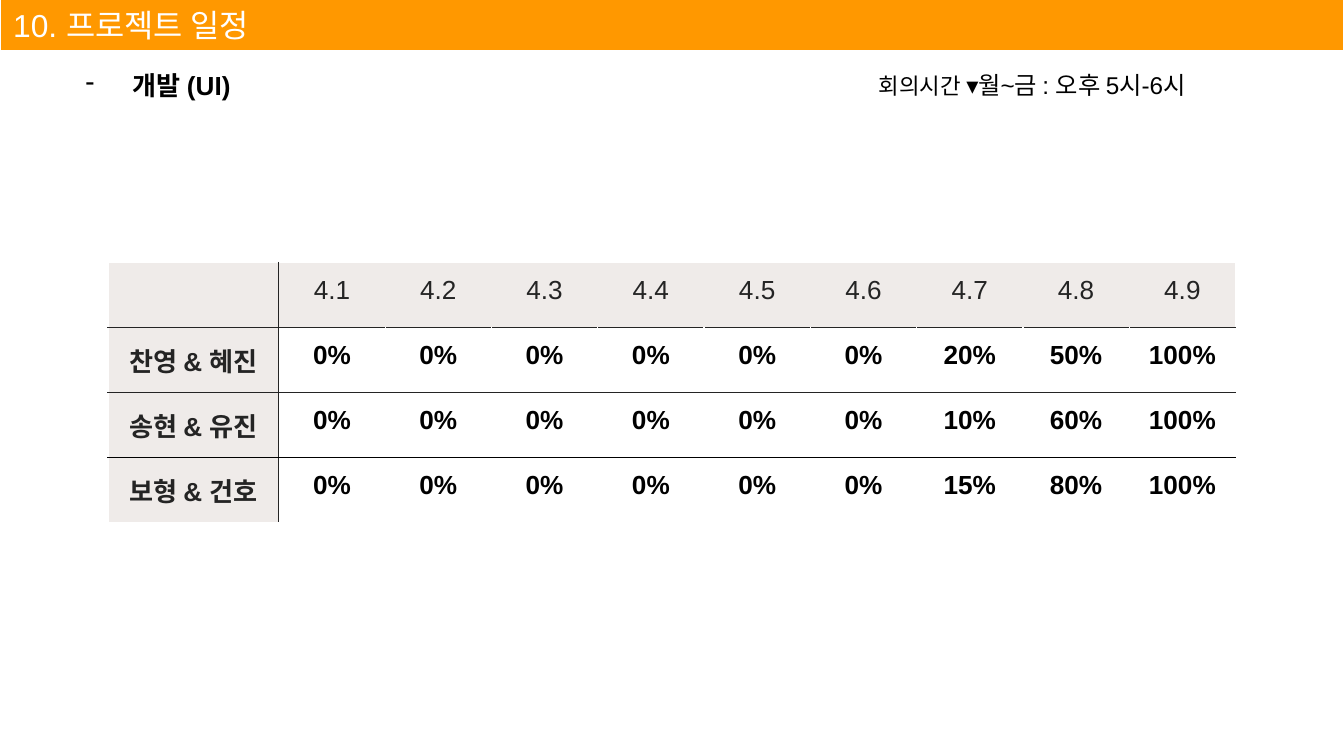
from lxml.etree import SubElement
from pptx import Presentation
from pptx.dml.color import RGBColor
from pptx.enum.shapes import MSO_SHAPE
from pptx.enum.text import MSO_ANCHOR, PP_ALIGN
from pptx.oxml.ns import qn
from pptx.util import Cm, Pt

COLORS = {"orange": "FF9800", "white": "FFFFFF", "black": "000000",
          "dark": "242424", "beige": "EFEBE9"}

TITLE = "10. 프로젝트 일정"
SECTION = "개발 (UI)"
MEETING = [("회의시간 ", 12), ("▾월~금 : 오후 5시-6시", 13)]
DATES = ["4.1", "4.2", "4.3", "4.4", "4.5", "4.6", "4.7", "4.8", "4.9"]
PROGRESS = {
    "찬영 & 혜진": [0, 0, 0, 0, 0, 0, 20, 50, 100],
    "송현 & 유진": [0, 0, 0, 0, 0, 0, 10, 60, 100],
    "보형 & 건호": [0, 0, 0, 0, 0, 0, 15, 80, 100],
}
ROW_LINES = ["white", "dark", "dark", "black", "white"]
NAME_WIDTH, DATE_WIDTH, ROW_HEIGHT = 3.23, 2.01, 1.23
PADDING = 0.25


def color(name):
    return RGBColor.from_string(COLORS[name])


def pad(target):
    """Give a text frame or a table cell the same margin on all sides."""
    for side in ("left", "right", "top", "bottom"):
        setattr(target, f"margin_{side}", Cm(PADDING))


def add_span(para, text, size, color_name="black", bold=False):
    span = para.add_run()
    span.text = text
    for key, value in {"name": "Arial", "size": Pt(size), "bold": bold}.items():
        setattr(span.font, key, value)
    span.font.color.rgb = color(color_name)


def add_text_box(page, left, top, width, height):
    frame = page.shapes.add_textbox(Cm(left), Cm(top), Cm(width), Cm(height)).text_frame
    frame.word_wrap = True
    pad(frame)
    return frame.paragraphs[0]


def add_dash(para):
    properties = para._p.get_or_add_pPr()
    properties.set("marL", str(Cm(1.27)))
    properties.set("indent", str(Cm(-0.89)))
    bullet_color = SubElement(properties, qn("a:buClr"))
    SubElement(bullet_color, qn("a:srgbClr"), val=COLORS["black"])
    SubElement(properties, qn("a:buChar"), char="-")


def set_borders(cell, borders):
    """Draw the left, right, top and bottom borders; None leaves a side open."""
    properties = cell._tc.get_or_add_tcPr()
    for side, name in zip("LRTB", borders):
        line = SubElement(properties, qn(f"a:ln{side}"), w=str(Pt(0.75)))
        if name:
            fill = SubElement(line, qn("a:solidFill"))
            SubElement(fill, qn("a:srgbClr"), val=COLORS[name])
        else:
            SubElement(line, qn("a:noFill"))


def add_header(page):
    bar = page.shapes.add_shape(MSO_SHAPE.RECTANGLE, Cm(0), Cm(-0.03), Cm(25.4), Cm(0.99))
    bar.shadow.inherit = False
    bar.fill.solid()
    bar.fill.fore_color.rgb = color("orange")
    bar.line.color.rgb = color("white")
    bar.line.width = Pt(0.75)
    pad(bar.text_frame)
    bar.text_frame.vertical_anchor = MSO_ANCHOR.MIDDLE
    para = bar.text_frame.paragraphs[0]
    para.alignment = PP_ALIGN.LEFT
    add_span(para, TITLE, 17, "white")


def add_schedule(page):
    rows = [["", *DATES]]
    rows += [[name, *(f"{value}%" for value in values)] for name, values in PROGRESS.items()]
    column_count = len(rows[0])
    table = page.shapes.add_table(
        len(rows), column_count, Cm(2.04), Cm(4.96),
        Cm(NAME_WIDTH + DATE_WIDTH * len(DATES)), Cm(ROW_HEIGHT * len(rows))).table
    table.first_row = table.horz_banding = False
    for index, column in enumerate(table.columns):
        column.width = Cm(DATE_WIDTH if index else NAME_WIDTH)
    for row in table.rows:
        row.height = Cm(ROW_HEIGHT)

    for r, texts in enumerate(rows):
        inner = "white" if r else None
        column_lines = ["white", "dark"] + [inner] * (column_count - 2) + ["white"]
        for c, text in enumerate(texts):
            cell = table.cell(r, c)
            is_label = r == 0 or c == 0
            pad(cell)
            set_borders(cell, column_lines[c:c + 2] + ROW_LINES[r:r + 2])
            if is_label:
                cell.fill.solid()
                cell.fill.fore_color.rgb = color("beige")
            else:
                cell.fill.background()
            para = cell.text_frame.paragraphs[0]
            para.alignment = PP_ALIGN.CENTER
            if text:
                add_span(para, text, 14, "dark" if is_label else "black", bold=r > 0)
            else:
                para.font.size = Pt(14)


def main():
    deck = Presentation()
    deck.slide_width, deck.slide_height = Cm(25.4), Cm(14.29)
    page = deck.slides.add_slide(deck.slide_layouts[6])

    meeting = add_text_box(page, 16.36, 1.07, 8.33, 0.81)
    for text, size in MEETING:
        add_span(meeting, text, size)
    add_header(page)
    section = add_text_box(page, 0.99, 1.07, 4.29, 0.81)
    add_dash(section)
    add_span(section, SECTION, 14, bold=True)
    add_schedule(page)
    deck.save("out.pptx")


if __name__ == "__main__":
    main()
